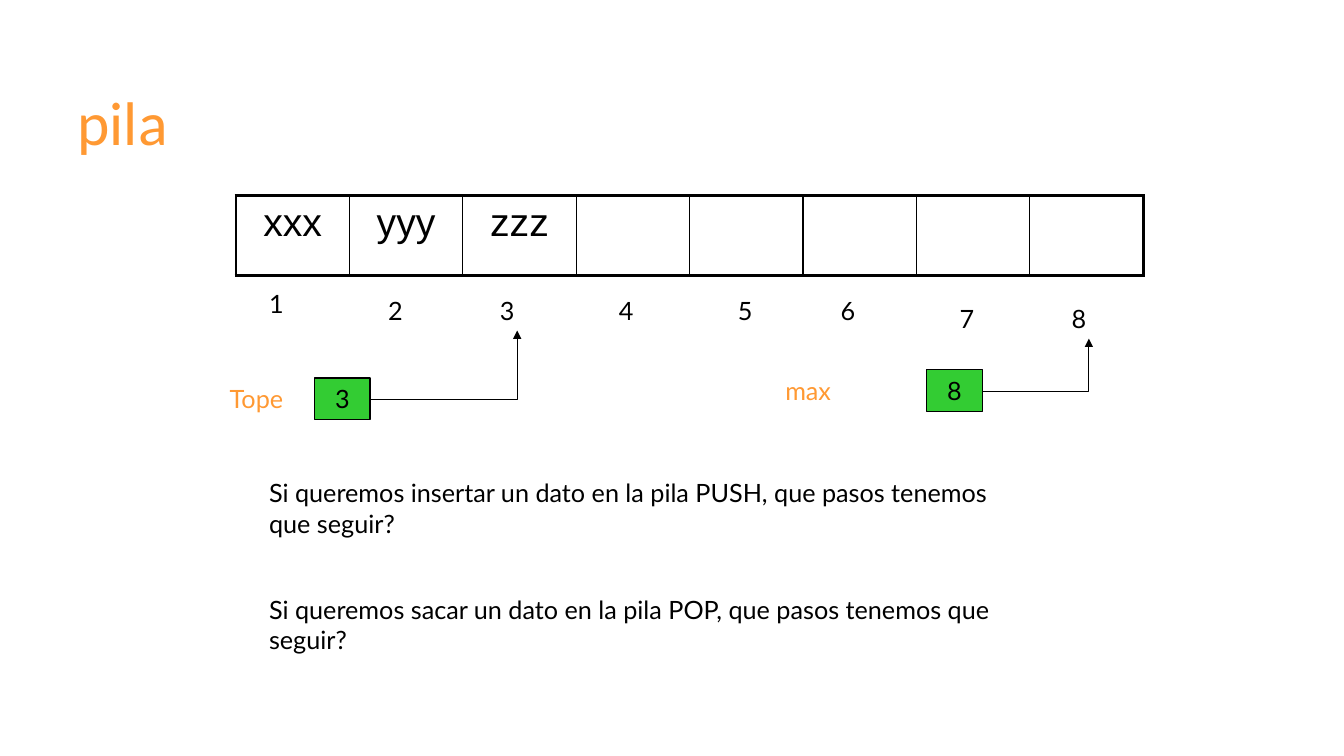
from lxml import etree
from pptx import Presentation
from pptx.dml.color import RGBColor
from pptx.enum import shapes, text
from pptx.oxml import ns
from pptx.util import Inches, Pt

BLACK = RGBColor(0x00, 0x00, 0x00)
ORANGE = RGBColor(0xFF, 0x99, 0x33)
GREEN = RGBColor(0x33, 0xCC, 0x33)

deck = Presentation()
deck.slide_width, deck.slide_height = Inches(13.33), Inches(7.5)
slide = deck.slides.add_slide(deck.slide_layouts[6])


def style(frame, size=18, font="Lato", color=BLACK, align=text.PP_ALIGN.LEFT):
    frame.word_wrap = True
    for para in frame.paragraphs:
        para.alignment = align
        for run in para.runs:
            run.font.size = Pt(size)
            run.font.name = font
            run.font.color.rgb = color


def label(words, left, top, width, height=0.4, **look):
    box = slide.shapes.add_textbox(Inches(left), Inches(top), Inches(width), Inches(height))
    box.text_frame.text = words
    style(box.text_frame, **look)
    return box.text_frame


# Title
title = label("pila", 0.67, 0.5, 12, 1.5, size=44, font="Calibri", color=ORANGE)
title.vertical_anchor = text.MSO_ANCHOR.MIDDLE
title.paragraphs[0].line_spacing = 0.9

# Stack: one row of eight cells, thick outside and thin inside
items = ["xxx", "yyy", "zzz", "", "", "", "", ""]
last = len(items) - 1
table = slide.shapes.add_table(1, len(items), Inches(2.34), Inches(1.94),
                               Inches(9), Inches(0.79)).table
table.first_row = table.horz_banding = False
for col, item in enumerate(items):
    cell = table.cell(0, col)
    cell.text = item
    style(cell.text_frame, size=28, font="Arial", align=text.PP_ALIGN.CENTER)
    props = cell._tc.get_or_add_tcPr()
    edges = {"L": 2.25 if col == 0 else 1, "R": 2.25 if col == last else 1,
             "T": 2.25, "B": 2.25}
    for side, width in edges.items():
        edge = etree.SubElement(props, ns.qn("a:ln" + side), w=str(Pt(width)))
        fill = etree.SubElement(edge, ns.qn("a:solidFill"))
        etree.SubElement(fill, ns.qn("a:srgbClr"), val=str(BLACK))
    cell.fill.background()

# Cell numbers
spots = [(2.57, 2.81), (3.75, 2.88), (4.86, 2.88), (6.04, 2.88),
         (7.22, 2.88), (8.24, 2.88), (9.42, 2.96), (10.53, 2.96)]
for number, (left, top) in enumerate(spots, 1):
    label(str(number), left, top, 0.55)

# Pointers: name, value box and bent arrow up to the cell number
pointers = [("Tope", 2.18, 0.86, "3", 3.12, 3.75, 5.13, 3.28),
            ("max", 7.69, 1.26, "8", 9.19, 3.67, 10.8, 3.36)]
for name, left, width, value, box_x, top, tip_x, tip_y in pointers:
    label(name, left, top, width, color=ORANGE)

    box = slide.shapes.add_shape(shapes.MSO_SHAPE.RECTANGLE, Inches(box_x), Inches(top),
                                 Inches(0.55), Inches(0.41))
    box.shadow.inherit = False
    box.fill.solid()
    box.fill.fore_color.rgb = GREEN
    box.line.color.rgb = BLACK
    box.line.width = Pt(0.75)
    box.text_frame.text = value
    style(box.text_frame, align=text.PP_ALIGN.CENTER)

    arrow = slide.shapes.add_connector(shapes.MSO_CONNECTOR.ELBOW,
                                       Inches(box_x + 0.55), Inches(top + 0.21),
                                       Inches(tip_x), Inches(tip_y))
    arrow.line.color.rgb = BLACK
    arrow.line.width = Pt(0.75)
    props = arrow._element.spPr
    props.find(ns.qn("a:prstGeom")).set("prst", "bentConnector2")
    etree.SubElement(arrow.line._get_or_add_ln(), ns.qn("a:tailEnd"), type="triangle")
    etree.SubElement(props, ns.qn("a:effectLst"))

# Questions
asks = label("Si queremos insertar un dato en la pila PUSH, que pasos tenemos que seguir?\n"
             "Si queremos sacar un dato en la pila POP, que pasos tenemos que seguir?",
             2.57, 4.69, 7.79, 2.36)
asks.paragraphs[1].space_before = Pt(40)

deck.save("out.pptx")
